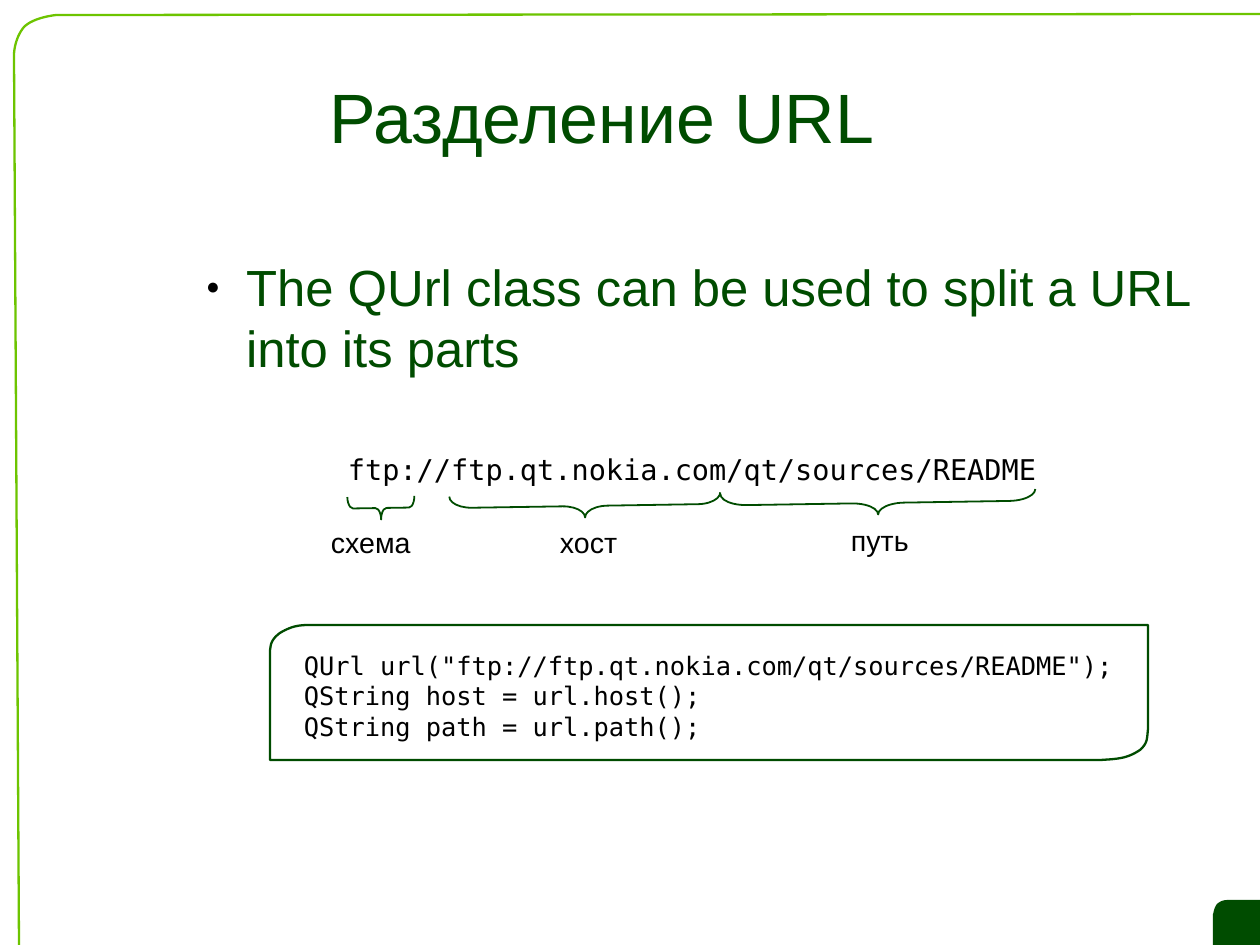
from lxml import etree
from pptx import Presentation
from pptx import util as u
from pptx.dml.color import RGBColor
from pptx.enum import shapes, text
from pptx.oxml.ns import qn

PX = 8000
WIDE, HIGH = 1260, 945
GREEN, LIME, BLACK = "004C00", "6DC400", "000000"
SANS, MONO = "Arial", "DejaVu Sans Mono"


def px(n):
    return u.Emu(round(n * PX))


def color(code):
    return RGBColor.from_string(code)


def style(shape, fill=None, line=None, weight=1.45):
    shape.shadow.inherit = False
    if fill:
        shape.fill.solid()
        shape.fill.fore_color.rgb = color(fill)
    else:
        shape.fill.background()
    if line:
        shape.line.color.rgb = color(line)
        shape.line.width = u.Pt(weight)
    else:
        shape.line.fill.background()


def outline(slide, start, parts, close=True, **look):
    """Draw parts: one point is a line, three points are a Bezier curve."""
    dots, here, steps = [], start, 16
    for part in parts:
        if len(part) == 1:
            dots.append(part[0])
        else:
            a, b, c = part
            for i in range(1, steps + 1):
                t = i / steps
                s = 1 - t
                dots.append(tuple(
                    s**3 * here[k] + 3 * s * s * t * a[k]
                    + 3 * s * t * t * b[k] + t**3 * c[k] for k in (0, 1)))
        here = part[-1]
    pen = slide.shapes.build_freeform(start[0] * PX, start[1] * PX, 1)
    pen.add_line_segments([(x * PX, y * PX) for x, y in dots], close=close)
    style(pen.convert_to_shape(), **look)


def write(slide, box, words, size, font=SANS, ink=BLACK, pad=(11, 6), wrap=False):
    frame = slide.shapes.add_textbox(*map(px, box)).text_frame
    frame.word_wrap = wrap
    if not wrap:
        frame.auto_size = text.MSO_AUTO_SIZE.SHAPE_TO_FIT_TEXT
    frame.margin_left = frame.margin_right = px(pad[0])
    frame.margin_top = frame.margin_bottom = px(pad[1])
    frame.text = words
    for para in frame.paragraphs:
        for run in para.runs:
            run.font.size = u.Pt(size)
            run.font.name = font
            run.font.color.rgb = color(ink)
    return frame


def border(slide):
    """Rounded page line and the corner tab."""
    outline(slide, (WIDE, 900), [
        [(1230, 900)],
        [(1225, 900), (1222, 900), (1217, 904)],
        [(1213, 910), (1214, 913), (1213, 914)],
        [(1213, HIGH)], [(WIDE, HIGH)]], fill=GREEN)
    outline(slide, (WIDE, 14), [
        [(57, 15)],
        [(56, 15), (34, 17), (24, 27)],
        [(14, 39), (14, 55), (14, 55)],
        [(19, HIGH)]], close=False, line=LIME)


def title(slide, box):
    frame = write(slide, box, "Разделение URL", 44, ink=GREEN, pad=(0, 0), wrap=True)
    frame.vertical_anchor = text.MSO_ANCHOR.MIDDLE
    frame.paragraphs[0].alignment = text.PP_ALIGN.CENTER


def body(slide, box):
    frame = write(slide, box, "The QUrl class can be used to split a URL into its parts",
                  32, ink=GREEN, pad=(0, 0), wrap=True)
    props = frame.paragraphs[0]._p.get_or_add_pPr()
    props.set("marL", str(px(54)))
    props.set("indent", str(px(-40)))
    tint = etree.SubElement(props, qn("a:buClr"))
    etree.SubElement(tint, qn("a:srgbClr")).set("val", BLACK)
    etree.SubElement(props, qn("a:buSzPct")).set("val", "45000")
    etree.SubElement(props, qn("a:buFont")).set("typeface", SANS)
    etree.SubElement(props, qn("a:buChar")).set("char", "●")


def brace(slide, mid, length):
    """Brace pointing down, centred on mid."""
    deep = 23
    shape = slide.shapes.add_shape(
        shapes.MSO_SHAPE.LEFT_BRACE, px(mid[0] - deep / 2),
        px(mid[1] - length / 2), px(deep), px(length))
    shape.adjustments[0] = length / 12 / deep
    shape.rotation = 269.1
    style(shape, line=GREEN, weight=1.13)


def split(slide, box):
    """Address with its named parts."""
    left, top, wide, high = box
    write(slide, (left, top, wide, 45), "ftp://ftp.qt.nokia.com/qt/sources/README", 18, MONO)
    parts = [("схема", 44, 62, 67, -17, 73, 102),
             ("хост", 248, 60, 271, 212, 73, 80),
             ("путь", 541, 57, 315, 503, 71, 80)]
    for name, mid, drop, length, x, y, w in parts:
        brace(slide, (left + mid, top + drop), length)
        write(slide, (left + x, top + y, w, high - y), name, 18)


def code(slide, box):
    left, top, wide, high = box
    right, low = left + wide, top + high
    outline(slide, (left + 43, top), [
        [(right, top)],
        [(right, low - 31)],
        [(right - 1, low - 22), (right, low - 17), (right - 8, low - 10)],
        [(right - 21, low - 1), (right - 32, low - 1), (right - 47, low)],
        [(left, low)],
        [(left, top + 25)],
        [(left + 1, top + 23), (left - 1, top + 16), (left + 10, top + 8)],
        [(left + 23, top), (left + 32, top), (left + 43, top)]], line=GREEN)
    write(slide, (left + 23, top + 19, wide - 47, 99),
          'QUrl url("ftp://ftp.qt.nokia.com/qt/sources/README");\n'
          "QString host = url.host();\n"
          "QString path = url.path();", 16, MONO)


def main():
    deck = Presentation()
    deck.slide_width, deck.slide_height = px(WIDE), px(HIGH)
    slide = deck.slides.add_slide(deck.slide_layouts[6])
    border(slide)
    title(slide, (192, 43, 820, 146))
    body(slide, (192, 256, 1005, 149))
    split(slide, (337, 446, 711, 116))
    code(slide, (270, 625, 878, 135))
    deck.save("out.pptx")


if __name__ == "__main__":
    main()
